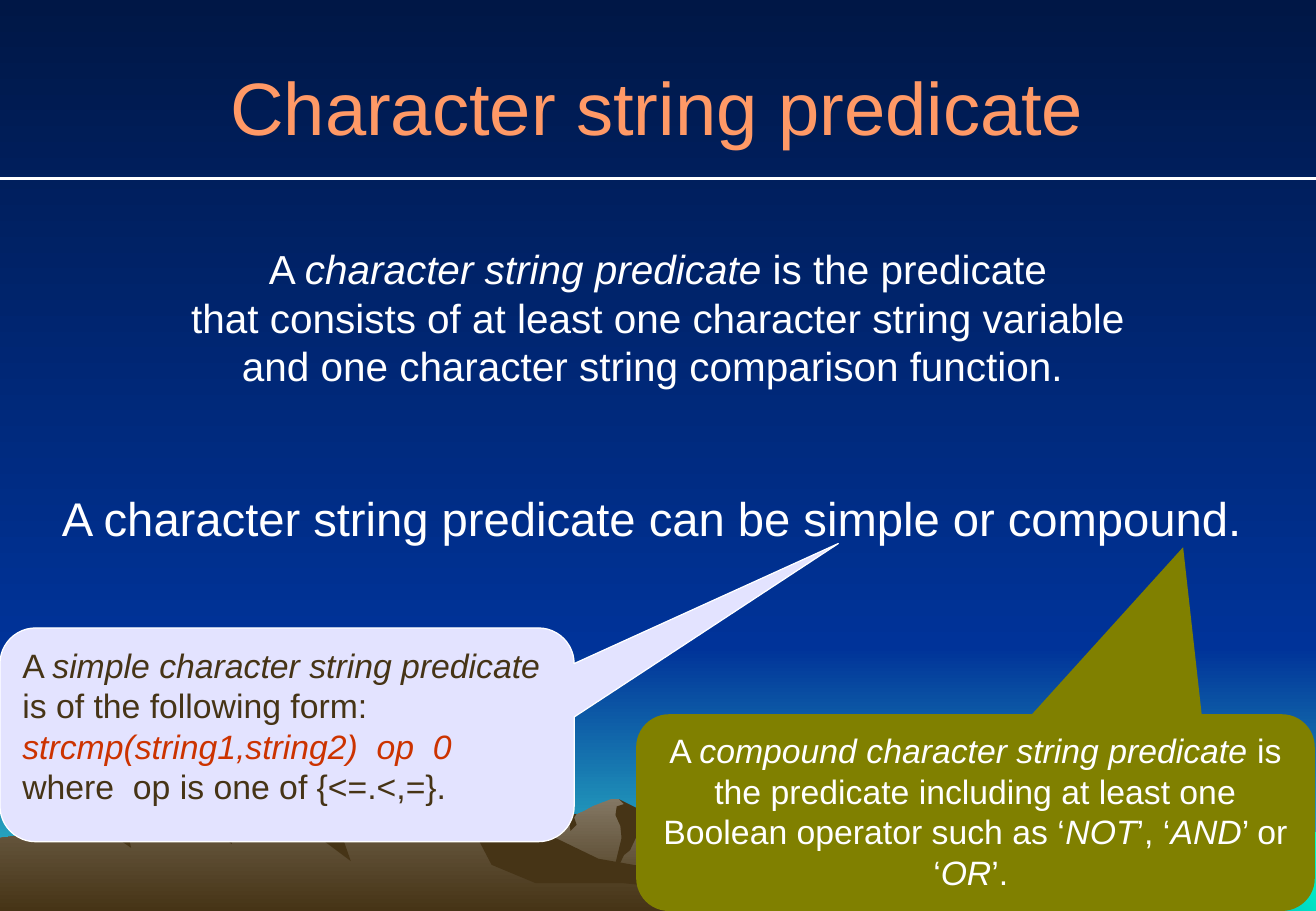
from lxml import etree
from pptx import Presentation
from pptx.dml.color import RGBColor
from pptx.enum.shapes import MSO_CONNECTOR, MSO_SHAPE
from pptx.enum.text import MSO_ANCHOR, MSO_AUTO_SIZE, PP_ALIGN
from pptx.oxml.ns import qn
from pptx.util import Inches, Pt

BOX = MSO_SHAPE.RECTANGLE
CALLOUT = MSO_SHAPE.ROUNDED_RECTANGULAR_CALLOUT
LINE = MSO_CONNECTOR.STRAIGHT
LEFT, CENTER = PP_ALIGN.LEFT, PP_ALIGN.CENTER
TOP, MIDDLE = MSO_ANCHOR.TOP, MSO_ANCHOR.MIDDLE
FIXED = MSO_AUTO_SIZE.NONE

WIDE, HIGH = 10.84, 7.5
NIGHT, BLUE, SEA, WHITE = "001746", "003399", "33CCCC", "FFFFFF"
EARTH = "463416"
SLANT = {"italic": True}

# Mountain outlines: x and y pairs in hundredths of an inch
RIDGE = """869,740 843,727 827,723 783,698 760,671 742,660 732,667 710,671 681,671
    664,681 614,697 581,690 573,676 570,673 552,669 538,671 526,673 514,661 510,658
    503,658 488,664 481,668 474,671 465,671 453,675 438,681 427,685 384,698 354,709
    300,739 280,750 889,750"""
SLOPE = """748,750 723,748 468,712 383,665 359,663 354,668 350,668 344,664 320,676
    302,681 294,682 281,676 255,681 242,663 237,660 229,658 214,658 210,660 205,662
    194,665 182,669 173,671 161,667 155,667 143,671 138,671 133,669 120,669 102,671
    73,662 61,669 54,672 49,674 38,679 28,685 15,688 0,690 0,750"""
RIGHT_FOLDS = [
    """862,724 836,724 795,703 766,671 742,660 747,664 742,671 748,680 757,702
    751,733 780,717 858,750 930,750 898,742""",
    """510,658 514,662 508,664 507,671 511,680 512,690 503,727 514,704 519,700
    527,683 531,682 531,676 538,671 534,670""",
    "573,676 570,683 581,697 628,723 624,700 641,689 617,692 587,685",
    "704,671 682,671 683,672 682,676 697,683 700,679 711,684 706,676 710,671",
    "469,677 468,673 470,671 475,670 473,673 475,679 470,684",
]
LEFT_FOLDS = [
    """229,663 225,669 237,678 252,690 261,688 289,709 282,689 294,682 281,674
    265,668 252,663 243,662 231,659""",
    """400,668 383,665 372,665 368,669 365,687 377,683 382,688 394,691 405,712
    441,727 512,727 748,750 740,750 493,707 462,692 445,684 434,681 418,675""",
    """344,667 346,666 344,664 350,667 354,667 357,673 357,674 353,671 348,669
    348,671 345,672""",
    """166,667 174,668 182,669 179,676 180,680 183,684 188,687 191,694 191,695
    179,685 166,676 161,667""",
    "144,670 140,674 143,679 143,680 139,678 136,674 133,669",
    """118,668 120,669 114,676 101,685 106,689 108,698 89,685 83,676 91,673
    85,668 74,664 74,662 91,663 102,665""",
]


def rgb(code):
    return RGBColor.from_string(code)


def paint(fill, *codes, angle=270):
    """One colour fills solid, two make a gradient."""
    if len(codes) == 1:
        fill.solid()
        fill.fore_color.rgb = rgb(codes[0])
        return
    fill.gradient()
    fill.gradient_angle = angle
    for stop, code in zip(fill.gradient_stops, codes):
        stop.color.rgb = rgb(code)


def bare(shape, *codes, angle=270):
    shape.shadow.inherit = False
    shape.line.fill.background()
    paint(shape.fill, *codes, angle=angle)


def write(shape, paras, size, color=WHITE, align=CENTER, anchor=MIDDLE, wrap=True):
    """Each paragraph is a list of (text, changes) runs."""
    frame = shape.text_frame
    frame.auto_size = FIXED
    frame.word_wrap = wrap
    frame.vertical_anchor = anchor
    for n, runs in enumerate(paras):
        para = frame.paragraphs[0] if n == 0 else frame.add_paragraph()
        para.alignment = align
        for text, change in runs:
            run = para.add_run()
            run.text = text
            font = run.font
            font.name, font.size = "Arial", Pt(size)
            font.italic = change.get("italic", False)
            font.color.rgb = rgb(change.get("color", color))


def place(shape, box):
    shape.left, shape.top, shape.width, shape.height = map(Inches, box)


def sky(slide, box, *codes, angle=270):
    bare(slide.shapes.add_shape(BOX, *map(Inches, box)), *codes, angle=angle)


def rock(slide, outline, *codes):
    points = [tuple(map(int, pair.split(","))) for pair in outline.split()]
    pen = slide.shapes.build_freeform(*points[0], scale=Inches(0.01))
    pen.add_line_segments(points[1:], close=True)
    bare(pen.convert_to_shape(), *codes)


def scene(slide, horizon):
    paint(slide.background.fill, NIGHT, BLUE)
    sky(slide, (0, horizon, WIDE, HIGH - horizon), BLUE, SEA)
    sky(slide, (0, 0, WIDE, horizon), NIGHT, BLUE)
    sky(slide, (7.4, 6.85, WIDE - 7.4, HIGH - 6.85), "00FFCC", BLUE, angle=225)
    rock(slide, RIDGE, "837763", EARTH)
    for fold in RIGHT_FOLDS:
        rock(slide, fold, EARTH)
    rock(slide, SLOPE, "72644E", EARTH)
    for fold in LEFT_FOLDS:
        rock(slide, fold, EARTH)


def header(slide, box, text):
    title = slide.shapes.title
    place(title, box)
    write(title, [[(text, {})]], 44, "FF9966")
    # Bring the title in front of the scene
    slide.shapes._spTree.append(title._element)
    y = Inches(box[1] + box[3] - 0.03)
    rule = slide.shapes.add_connector(LINE, 0, y, Inches(WIDE), y)
    rule.line.color.rgb = rgb(WHITE)
    rule.line.width = Pt(2.25)
    etree.SubElement(rule._element.spPr, qn("a:effectLst"))


def note(slide, box, paras, size):
    area = slide.shapes.add_textbox(*map(Inches, box))
    write(area, paras, size, wrap=False)


def callout(slide, box, tip, fill, paras, edge=None, **form):
    shape = slide.shapes.add_shape(CALLOUT, *map(Inches, box))
    bare(shape, fill)
    for n, value in enumerate((*tip, 0.167)):
        shape.adjustments[n] = value
    if edge:
        shape.line.color.rgb = rgb(edge)
        shape.line.width = Pt(0.75)
    write(shape, paras, 20, anchor=TOP, **form)


def main():
    deck = Presentation()
    deck.slide_width, deck.slide_height = Inches(WIDE), Inches(HIGH)
    slide = deck.slides.add_slide(deck.slide_layouts[5])
    scene(slide, 5.33)
    header(slide, (0.54, 0.25, 9.75, 1.25), "Character string predicate")

    # Definition and its two kinds
    note(slide, (0, 2.02, WIDE, 1.18), [
        [("A ", {}), ("character string predicate", SLANT), (" is the predicate", {})],
        [(" that consists of at least one character string variable ", {})],
        [("and one character string comparison function. ", {})],
    ], 24)
    note(slide, (0, 3.67, WIDE, 1.18), [
        [("A character string predicate can be simple or compound. ", {})],
    ], 28)

    # Simple predicate
    callout(slide, (0, 5.17, 4.73, 1.76), (0.96, -0.895), "E3E3FF", [
        [("A ", {}), ("simple character string predicate", SLANT),
         (" is of the following form: ", {}),
         ("strcmp(string1,string2)  op  0", {"italic": True, "color": "CC3300"})],
        [("where  op is one of {<=.<,=}.", {})],
    ], edge=WHITE, color=EARTH, align=LEFT)

    # Compound predicate
    callout(slide, (5.24, 5.88, 5.59, 1.62), (0.306, -1.349), "808000", [
        [("A ", {}), ("compound character string predicate", SLANT),
         (" is the predicate including at least one Boolean operator such as ‘", {}),
         ("NOT", SLANT), ("’, ‘", {}), ("AND", SLANT), ("’ or ‘", {}),
         ("OR", SLANT), ("’. ", {})],
    ])
    deck.save("out.pptx")


if __name__ == "__main__":
    main()
